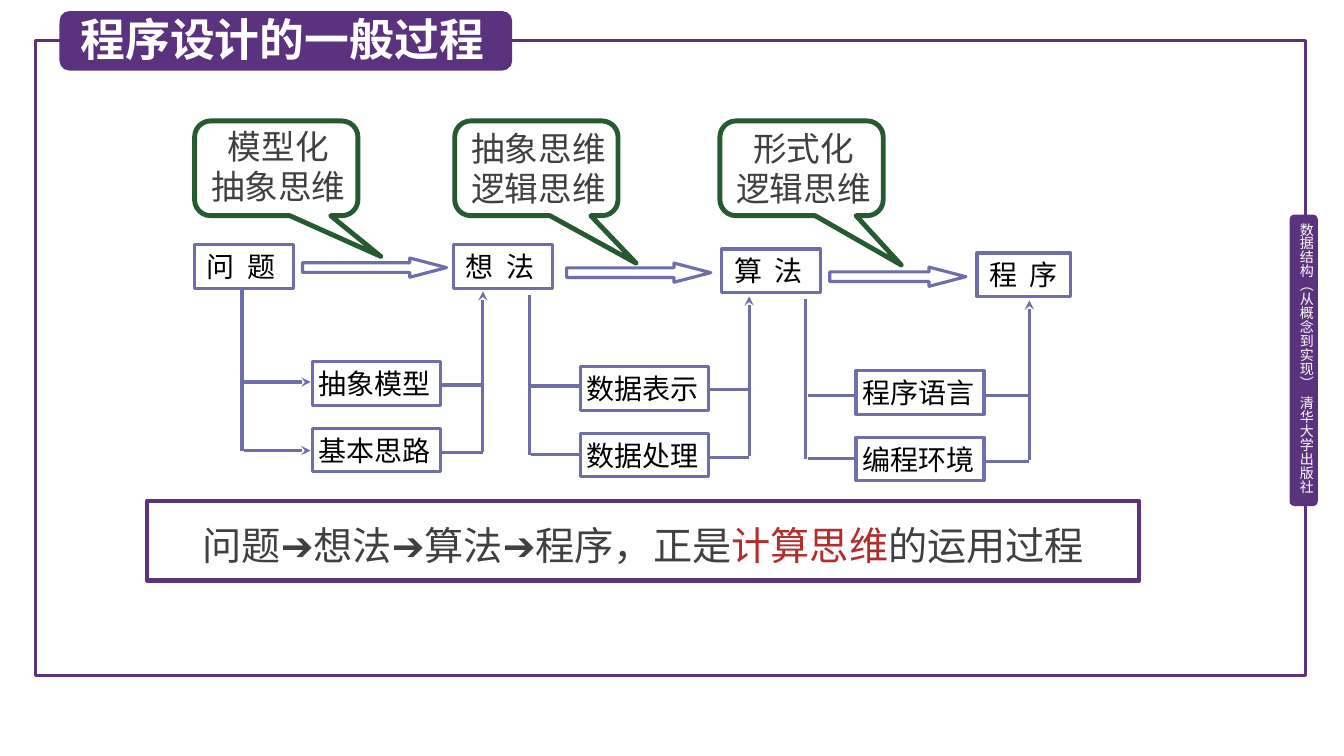
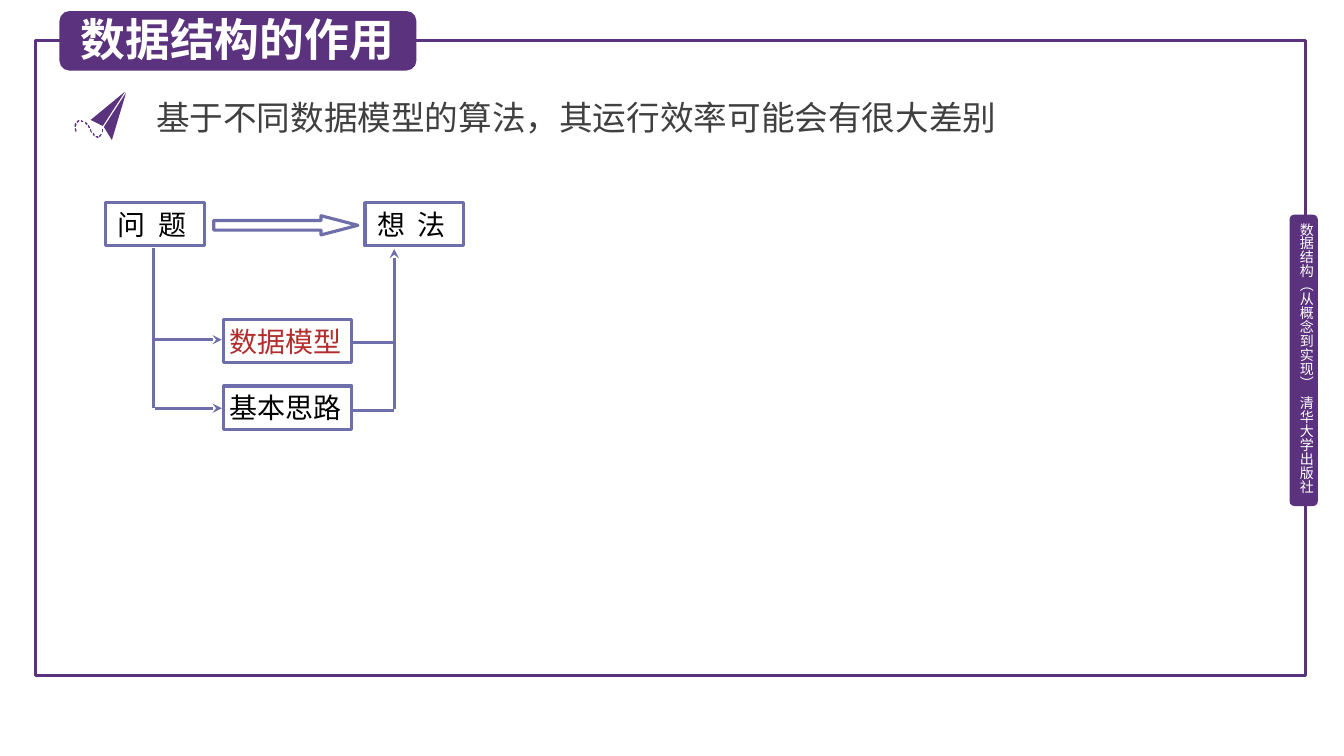
from lxml.etree import SubElement
from pptx import Presentation
from pptx.dml.color import RGBColor
from pptx.enum.shapes import MSO_CONNECTOR as Link, MSO_SHAPE as Geo
from pptx.enum.text import MSO_ANCHOR as Anchor, PP_ALIGN as Align
from pptx.oxml.ns import qn
from pptx.util import Inches, Pt

# Shared style
FONT = "Noto Sans CJK SC"
PLUM, BLUE, GREEN = "5A327D", "6E6EAA", "285A32"
GREY, RED, BLACK, WHITE = "404040", "B42D2D", "000000", "FFFFFF"
BOX_H, BOX_W, WIDE, ROW = 0.43, 0.98, 1.27, 0.66
SIDE = [("数据结构（从概念到实现）", WHITE), (" ", WHITE, 2.2),
        ("清华大学出版社", WHITE)]

# Content: stages are (text, left, top, width)
STAGES = [("问 题", 1.93, 2.43, BOX_W), ("想 法", 4.5, 2.43, BOX_W),
          ("算 法", 7.16, 2.47, BOX_W), ("程 序", 9.69, 2.51, 0.93)]

# Steps between stages: where the detail boxes, the trunk (down), the rise (up),
# the block arrow (left, width) and the branch rows lie
STEPS = [
    dict(items=[("抽象模型", BLACK), ("基本思路", BLACK)], left=3.1, top=3.59,
         trunk=2.4, start=2.88, rise=4.79, arrow=(3, 1.43),
         ins=(3.79, 4.47), outs=(3.82, 4.49), head=True),
    dict(items=[("数据表示", BLACK), ("数据处理", BLACK)], left=5.76, top=3.64,
         trunk=5.25, start=2.93, rise=7.43, arrow=(5.62, 1.43),
         ins=(3.83, 4.51), outs=(3.86, 4.54), head=False),
    dict(items=[("程序语言", BLACK), ("编程环境", BLACK)], left=8.49, top=3.68,
         trunk=7.99, start=2.97, rise=10.21, arrow=(8.23, 1.35),
         ins=(3.92, 4.55), outs=(3.92, 4.58), head=False),
]
MODEL = dict(STEPS[0], items=[("数据模型", RED), ("基本思路", BLACK)])
SHIFT = (-0.88, -0.42)

# Callouts: (lines, left, tail x, tail y, anchor)
CALLS = [(["模型化", "抽象思维"], 1.93, 0.64, 0.93, Anchor.TOP),
         (["抽象思维", "逻辑思维"], 4.51, 0.61, 1, Anchor.MIDDLE),
         (["形式化", "逻辑思维"], 7.14, 0.61, 1.02, Anchor.MIDDLE)]
SUMMARY = [("问题➔想法➔算法➔程序，正是", GREY), ("计算思维", RED),
           ("的运用过程", GREY)]
CLAIM = "基于不同数据模型的算法，其运行效率可能会有很大差别"

# Paper plane: two wings, then the dashes of its trail
PLANE = [
    [(1.25, 0.92), (1.11, 1.39), (1.03, 1.26)],
    [(1.24, 0.91), (1.02, 1.25), (0.9, 1.19)],
    [(1.02, 1.28), (1.02, 1.31), (1.01, 1.31), (1.01, 1.28)],
    [(1.01, 1.33), (1, 1.35), (0.99, 1.36), (0.98, 1.35), (1, 1.33)],
    [(0.97, 1.35), (0.98, 1.36), (0.97, 1.37), (0.95, 1.36), (0.95, 1.35)],
    [(0.94, 1.34), (0.93, 1.35), (0.92, 1.33), (0.92, 1.32), (0.93, 1.32)],
    [(0.91, 1.31), (0.91, 1.32), (0.9, 1.31), (0.89, 1.29), (0.9, 1.28)],
    [(0.89, 1.26), (0.89, 1.27), (0.88, 1.27), (0.87, 1.25), (0.88, 1.24)],
    [(0.86, 1.22), (0.87, 1.23), (0.86, 1.24), (0.84, 1.22), (0.85, 1.21)],
    [(0.82, 1.2), (0.83, 1.21), (0.81, 1.21), (0.8, 1.2), (0.81, 1.19)],
    [(0.79, 1.2), (0.78, 1.21), (0.77, 1.22), (0.76, 1.21), (0.78, 1.19)],
    [(0.76, 1.3), (0.75, 1.31), (0.74, 1.28), (0.75, 1.27)],
    [(0.75, 1.22), (0.76, 1.23), (0.75, 1.26), (0.74, 1.26), (0.74, 1.23)],
]


def rgb(code):
    return RGBColor.from_string(code)


def paint(shape, fill=None, line=None, width=2.25):
    shape.shadow.inherit = False
    if fill:
        shape.fill.solid()
        shape.fill.fore_color.rgb = rgb(fill)
    else:
        shape.fill.background()
    if line:
        shape.line.color.rgb = rgb(line)
        shape.line.width = Pt(width)
    else:
        shape.line.fill.background()


def add_box(slide, geo, at, adjust=(), **look):
    shape = slide.shapes.add_shape(geo, *map(Inches, at))
    for i, value in enumerate(adjust):
        shape.adjustments[i] = value
    paint(shape, **look)
    return shape


def write(shape, paras, size, bold=False, align=Align.LEFT, anchor=Anchor.TOP,
          pad=(0.1, 0.05, 0.1, 0.05), lead=None):
    """Each paragraph is a list of runs: (text, colour[, letter spacing])."""
    frame = shape.text_frame
    frame.word_wrap = True
    frame.vertical_anchor = anchor
    (frame.margin_left, frame.margin_top,
     frame.margin_right, frame.margin_bottom) = map(Inches, pad)
    for i, runs in enumerate(paras):
        para = frame.add_paragraph() if i else frame.paragraphs[0]
        para.alignment = align
        if lead:
            para.line_spacing = Pt(lead)
        for text, color, *gap in runs:
            run = para.add_run()
            run.text = text
            font = run.font
            font.size, font.bold, font.name = Pt(size), bold, FONT
            font.color.rgb = rgb(color)
            props = run._r.get_or_add_rPr()
            SubElement(props, qn("a:ea")).set("typeface", FONT)
            if gap:
                props.set("spc", str(round(gap[0] * 100)))


def add_text(slide, at, paras, size, **style):
    box = slide.shapes.add_textbox(*map(Inches, at))
    write(box, paras, size, **style)
    return box


def add_line(slide, x1, y1, x2, y2, head=False):
    line = slide.shapes.add_connector(
        Link.STRAIGHT, *map(Inches, (x1, y1, x2, y2)))
    line.line.color.rgb = rgb(BLUE)
    line.line.width = Pt(2.25)
    if head:
        SubElement(line.line._get_or_add_ln(),
                   qn("a:tailEnd")).set("type", "stealth")
    SubElement(line._element.spPr, qn("a:effectLst"))


def label(slide, at, run, left=0.06):
    box = add_box(slide, Geo.RECTANGLE, at, line=BLUE)
    write(box, [[run]], 20, anchor=Anchor.MIDDLE, pad=(left, 0.01, 0.06, 0.01))


def add_stage(slide, text, left, top, width, dx=0, dy=0):
    label(slide, (left + dx, top + dy, width, BOX_H), (text, BLACK, 2.2), 0.12)


def add_step(slide, step, dx=0, dy=0):
    left, top = step["left"] + dx, step["top"] + dy
    trunk, rise = step["trunk"] + dx, step["rise"] + dx
    start, end = step["start"] + dy, step["ins"][1] + dy
    x, width = step["arrow"]
    add_box(slide, Geo.RIGHT_ARROW, (x + dx, start - 0.32, width, 0.19),
            (0.5, 1.92), line=BLUE)
    add_line(slide, trunk, start, trunk, end)
    add_line(slide, rise, end + 0.01, rise, start + 0.01, True)
    rows = zip(step["items"], step["ins"], step["outs"])
    for i, (run, y_in, y_out) in enumerate(rows):
        label(slide, (left, top + i * ROW, WIDE, BOX_H), run)
        add_line(slide, trunk + 0.02, y_in + dy, left - 0.02, y_in + dy,
                 step["head"])
        add_line(slide, left + WIDE + 0.01, y_out + dy, rise, y_out + dy)


def add_page(deck, title, width):
    slide = deck.slides.add_slide(deck.slide_layouts[6])
    # Frame and side tab
    add_box(slide, Geo.RECTANGLE, (0.35, 0.4, 12.6, 6.3), line=PLUM)
    add_box(slide, Geo.ROUNDED_RECTANGLE, (12.79, 2.13, 0.28, 2.89), fill=PLUM)
    side = add_text(slide, (12.87, 2.21, 0.17, 2.81), [SIDE], 10, pad=(0,) * 4)
    side.text_frame._txBody.bodyPr.set("vert", "eaVert")
    # Title band
    add_box(slide, Geo.ROUNDED_RECTANGLE, (0.59, 0.11, width, 0.59), fill=PLUM)
    add_text(slide, (0.7, 0.07, width - 0.08, 0.64), [[(title, WHITE)]], 32,
             bold=True)
    return slide


def add_process(deck):
    slide = add_page(deck, "程序设计的一般过程", 4.49)
    for stage in STAGES:
        add_stage(slide, *stage)
    for step in STEPS:
        add_step(slide, step)
    # Ways of thinking
    for lines, left, tail_x, tail_y, anchor in CALLS:
        call = add_box(slide, Geo.ROUNDED_RECTANGULAR_CALLOUT,
                       (left, 1.2, 1.62, 0.94), (tail_x, tail_y, 0.17),
                       line=GREEN, width=3.5)
        write(call, [[(text, GREY)] for text in lines], 24,
              align=Align.CENTER, anchor=anchor, pad=(0.04, 0, 0, 0))
    # Summary
    band = add_box(slide, Geo.RECTANGLE, (1.46, 4.97, 9.84, 0.79),
                   line=PLUM, width=3)
    write(band, [SUMMARY], 28, align=Align.CENTER, anchor=Anchor.MIDDLE,
          lead=40)


def add_role(deck):
    slide = add_page(deck, "数据结构的作用", 3.54)
    add_text(slide, (1.45, 0.91, 9.07, 0.51), [[(CLAIM, GREY)]], 24)
    # Paper plane
    for points in PLANE:
        first, *rest = [(Inches(x), Inches(y)) for x, y in points]
        pen = slide.shapes.build_freeform(*first)
        pen.add_line_segments(rest)
        paint(pen.convert_to_shape(), fill=PLUM)
    # Problem to idea
    for stage in STAGES[:2]:
        add_stage(slide, *stage, *SHIFT)
    add_step(slide, MODEL, *SHIFT)


def main():
    deck = Presentation()
    deck.slide_width, deck.slide_height = Inches(13.33), Inches(7.5)
    add_process(deck)
    add_role(deck)
    deck.save("out.pptx")


if __name__ == "__main__":
    main()
